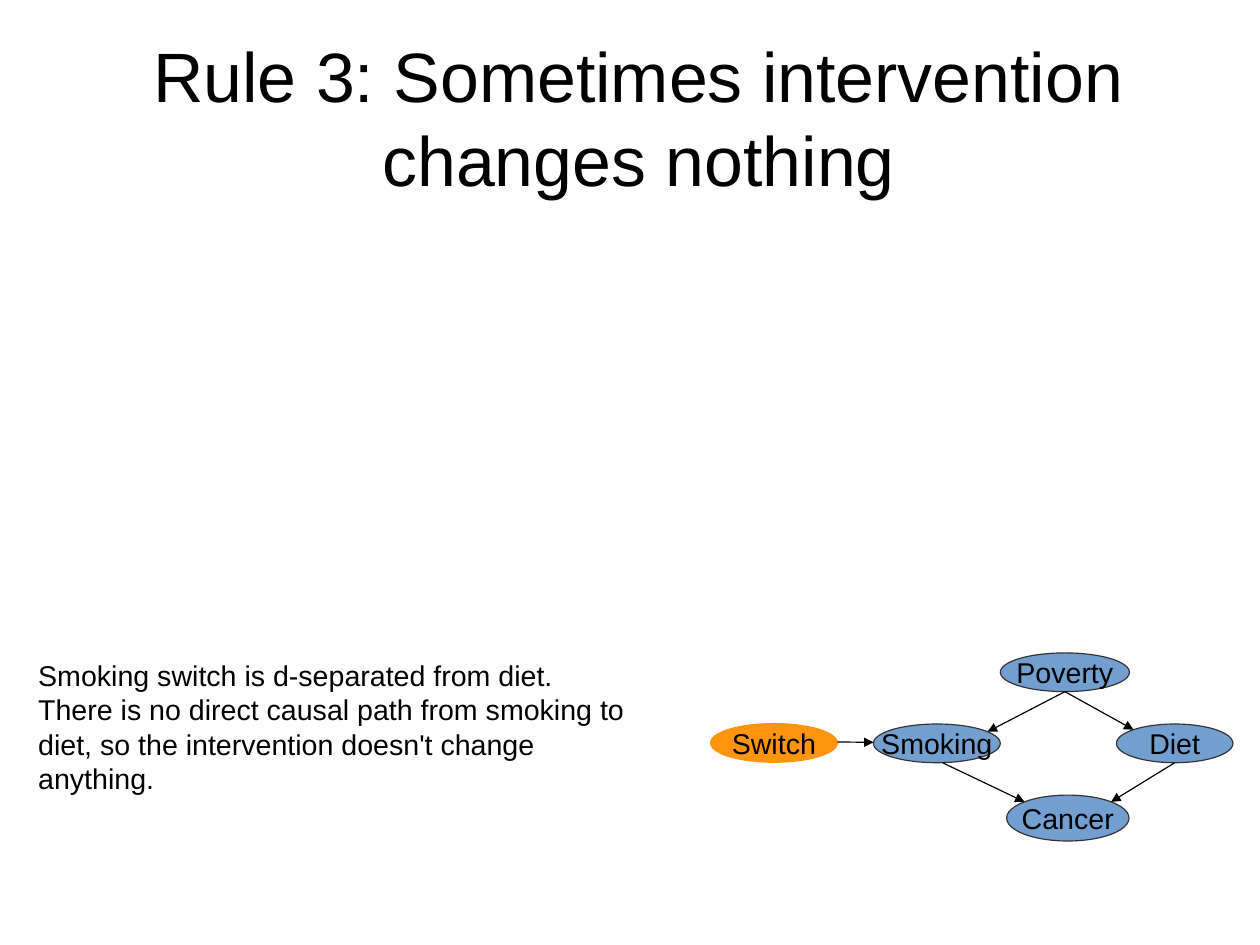
from math import cos, radians, sin

from lxml.etree import SubElement
from pptx import Presentation
from pptx.dml.color import RGBColor
from pptx.enum.shapes import MSO_CONNECTOR, MSO_SHAPE
from pptx.enum.text import MSO_ANCHOR as Anchor, PP_ALIGN as Align
from pptx.oxml.ns import qn
from pptx.util import Cm, Pt

BLACK, BLUE, ORANGE, OUTLINE = "000000", "729FCF", "FF950E", "333333"
LINE_WIDTH = Pt(0.75)

# Name: left, top, width, height in cm, fill, line
NODES = {
    "Cancer": (22.37, 17.67, 2.72, 1.02, BLUE, OUTLINE),
    "Smoking": (19.41, 16.09, 2.82, 0.86, BLUE, OUTLINE),
    "Poverty": (22.23, 14.51, 2.87, 0.86, BLUE, OUTLINE),
    "Diet": (24.81, 16.09, 2.59, 0.86, BLUE, OUTLINE),
    "Switch": (15.79, 16.08, 2.82, 0.86, ORANGE, ORANGE),
}

# Angles on the ellipse, clockwise from its right end
BOTTOM, TOP_LEFT, TOP_RIGHT = 90, 225, 315

# Cause, leaving angle, effect, arriving angle
CAUSES = [
    ("Smoking", 85, "Cancer", TOP_LEFT),
    ("Diet", BOTTOM, "Cancer", TOP_RIGHT),
    ("Poverty", BOTTOM, "Smoking", 323),
    ("Poverty", BOTTOM, "Diet", TOP_LEFT),
    ("Switch", 357, "Smoking", 183),
]


def color(hex_code):
    return RGBColor.from_string(hex_code)


def write(frame, text, size, align):
    para = frame.paragraphs[0]
    para.text = text
    para.alignment = align
    para.font.name = "Arial"
    para.font.size = Pt(size)
    para.font.color.rgb = color(BLACK)


def add_text(page, text, place, size, align, anchor):
    box = page.shapes.add_textbox(*map(Cm, place))
    frame = box.text_frame
    frame.word_wrap = True
    frame.vertical_anchor = anchor
    write(frame, text, size, align)
    return frame


def add_node(page, name):
    *place, fill, line = NODES[name]
    node = page.shapes.add_shape(MSO_SHAPE.OVAL, *map(Cm, place))
    node.shadow.inherit = False
    node.fill.solid()
    node.fill.fore_color.rgb = color(fill)
    node.line.color.rgb = color(line)
    node.line.width = LINE_WIDTH
    node.text_frame.word_wrap = False
    node.text_frame.vertical_anchor = Anchor.MIDDLE
    write(node.text_frame, name, 18, Align.CENTER)


def rim_point(name, angle):
    """Return the point of a node's outline at an angle in degrees."""
    left, top, width, height = NODES[name][:4]
    turn = radians(angle)
    return (Cm(left + width / 2 * (1 + cos(turn))),
            Cm(top + height / 2 * (1 + sin(turn))))


def add_arrow(page, cause, leaving, effect, arriving):
    arrow = page.shapes.add_connector(
        MSO_CONNECTOR.STRAIGHT,
        *rim_point(cause, leaving), *rim_point(effect, arriving))
    arrow.line.color.rgb = color(BLACK)
    arrow.line.width = LINE_WIDTH
    line = arrow._element.spPr.find(qn("a:ln"))
    SubElement(line, qn("a:tailEnd"), type="triangle")
    SubElement(arrow._element.spPr, qn("a:effectLst"))


def main():
    deck = Presentation()
    deck.slide_width, deck.slide_height = Cm(28), Cm(21)
    page = deck.slides.add_slide(deck.slide_layouts[6])

    title = add_text(page, "Rule 3: Sometimes intervention changes nothing",
                     (0.8, 0.84, 26.8, 3.51), 44, Align.CENTER, Anchor.MIDDLE)
    title.margin_left = title.margin_right = 0
    title.margin_top = title.margin_bottom = 0

    for name in NODES:
        add_node(page, name)
    for cause in CAUSES:
        add_arrow(page, *cause)

    add_text(page, "Smoking switch is d-separated from diet. There is no "
             "direct causal path from smoking to diet, so the intervention "
             "doesn't change anything.",
             (0.6, 14.5, 13.59, 3.1), 18, Align.LEFT, Anchor.TOP)
    deck.save("out.pptx")


if __name__ == "__main__":
    main()
